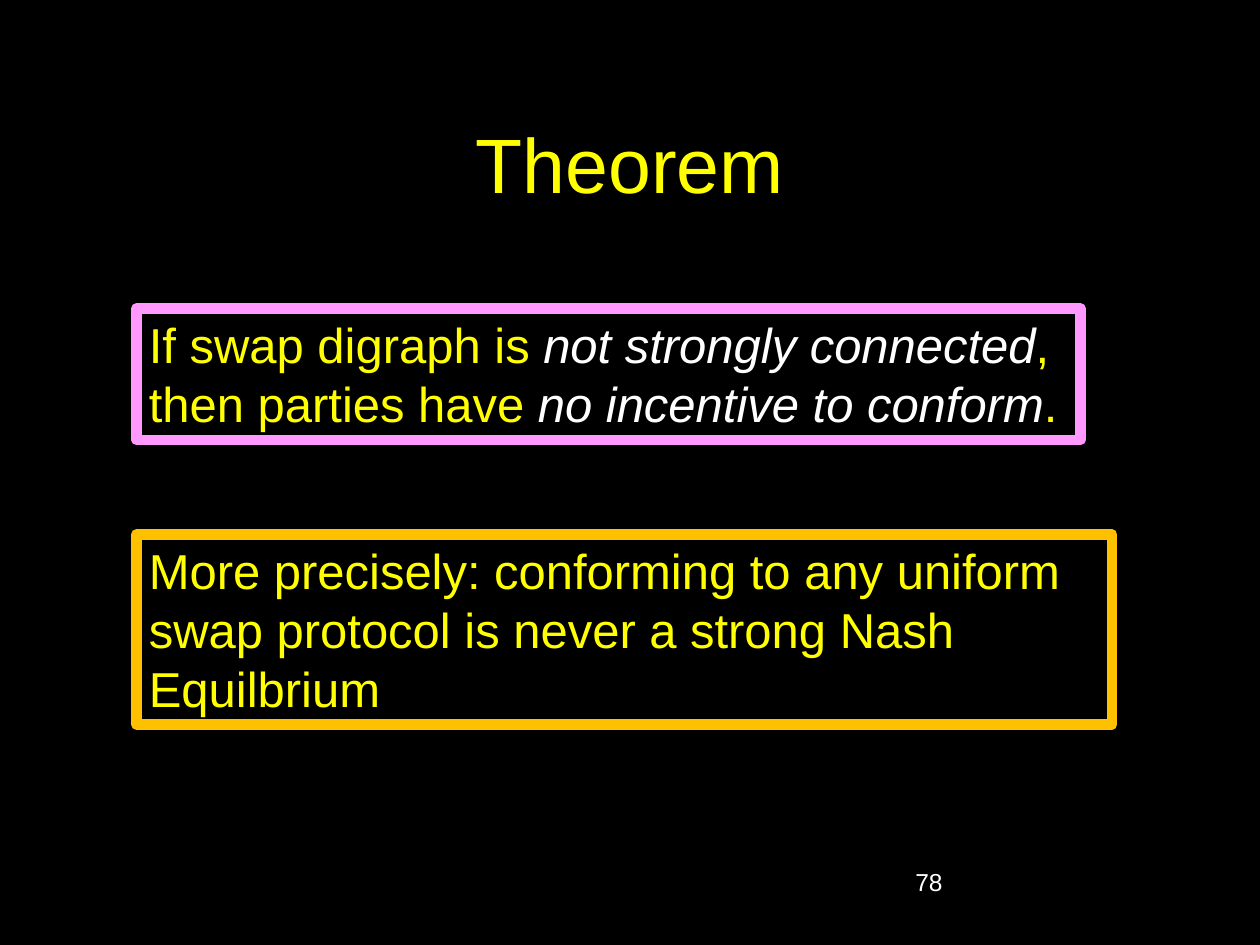
from dataclasses import dataclass

from pptx import Presentation
from pptx.dml.color import RGBColor
from pptx.enum.shapes import MSO_SHAPE
from pptx.enum.text import MSO_ANCHOR, PP_ALIGN
from pptx.util import Inches, Pt

RECT = MSO_SHAPE.RECTANGLE
TOP, MIDDLE = MSO_ANCHOR.TOP, MSO_ANCHOR.MIDDLE
LEFT, CENTER = PP_ALIGN.LEFT, PP_ALIGN.CENTER


@dataclass(frozen=True)
class Theme:
    """Colours, font, type sizes and line width of the deck."""

    back: RGBColor = RGBColor.from_string("000000")
    main: RGBColor = RGBColor.from_string("FFFF00")
    plain: RGBColor = RGBColor.from_string("FFFFFF")
    pink: RGBColor = RGBColor.from_string("FF99FF")
    gold: RGBColor = RGBColor.from_string("FFC000")
    font: str = "Arial"
    head: int = 44
    body: int = 28
    small: int = 14
    line: int = 6


class Deck:
    """Draws on one slide with a grid of 120 columns by 90 rows."""

    def __init__(self, theme):
        """Open a blank slide with the theme's background."""
        self.theme = theme
        self.prs = Presentation()
        self.prs.slide_width, self.prs.slide_height = Inches(10), Inches(7.5)
        self.slide = self.prs.slides.add_slide(self.prs.slide_layouts[6])
        fill = self.slide.background.fill
        fill.solid()
        fill.fore_color.rgb = theme.back

    def place(self, col, row, cols, rows):
        """Turn grid units into slide lengths."""
        wide, high = self.prs.slide_width / 120, self.prs.slide_height / 90
        return [round(n) for n in (col * wide, row * high, cols * wide, rows * high)]

    def letter(self, shape, parts, size, color, align=LEFT, anchor=TOP):
        """Fill a shape with text whose every second part is stressed."""
        frame = shape.text_frame
        frame.word_wrap = True
        frame.vertical_anchor = anchor
        para = frame.paragraphs[0]
        para.alignment = align
        for i, part in enumerate(parts):
            run = para.add_run()
            run.text = part
            stress = i % 2 == 1
            run.font.name = self.theme.font
            run.font.size = Pt(size)
            run.font.italic = stress
            run.font.color.rgb = self.theme.plain if stress else color

    def label(self, grid, text, size, color, align=LEFT, anchor=TOP):
        """Add a plain line of text."""
        shape = self.slide.shapes.add_textbox(*self.place(*grid))
        self.letter(shape, [text], size, color, align, anchor)

    def panel(self, grid, parts, edge):
        """Add a framed statement."""
        shape = self.slide.shapes.add_shape(RECT, *self.place(*grid))
        shape.shadow.inherit = False
        shape.fill.solid()
        shape.fill.fore_color.rgb = self.theme.back
        shape.line.color.rgb = edge
        shape.line.width = Pt(self.theme.line)
        self.letter(shape, parts, self.theme.body, self.theme.main)


def main():
    """Build the theorem slide."""
    theme = Theme()
    deck = Deck(theme)
    deck.label((9, 8, 102, 15), "Theorem", theme.head, theme.main, CENTER, MIDDLE)
    deck.label((86, 82, 25, 6), "78", theme.small, theme.plain)
    claim = [
        "If swap digraph is ",
        "not strongly connected",
        ", then parties have ",
        "no incentive to conform",
        ".",
    ]
    deck.panel((13, 29.4, 89.9, 12.5), claim, theme.pink)
    detail = [
        "More precisely: conforming to any uniform swap protocol "
        "is never a strong Nash Equilbrium"
    ]
    deck.panel((13, 50.9, 92.9, 18.1), detail, theme.gold)
    deck.prs.save("out.pptx")


if __name__ == "__main__":
    main()
